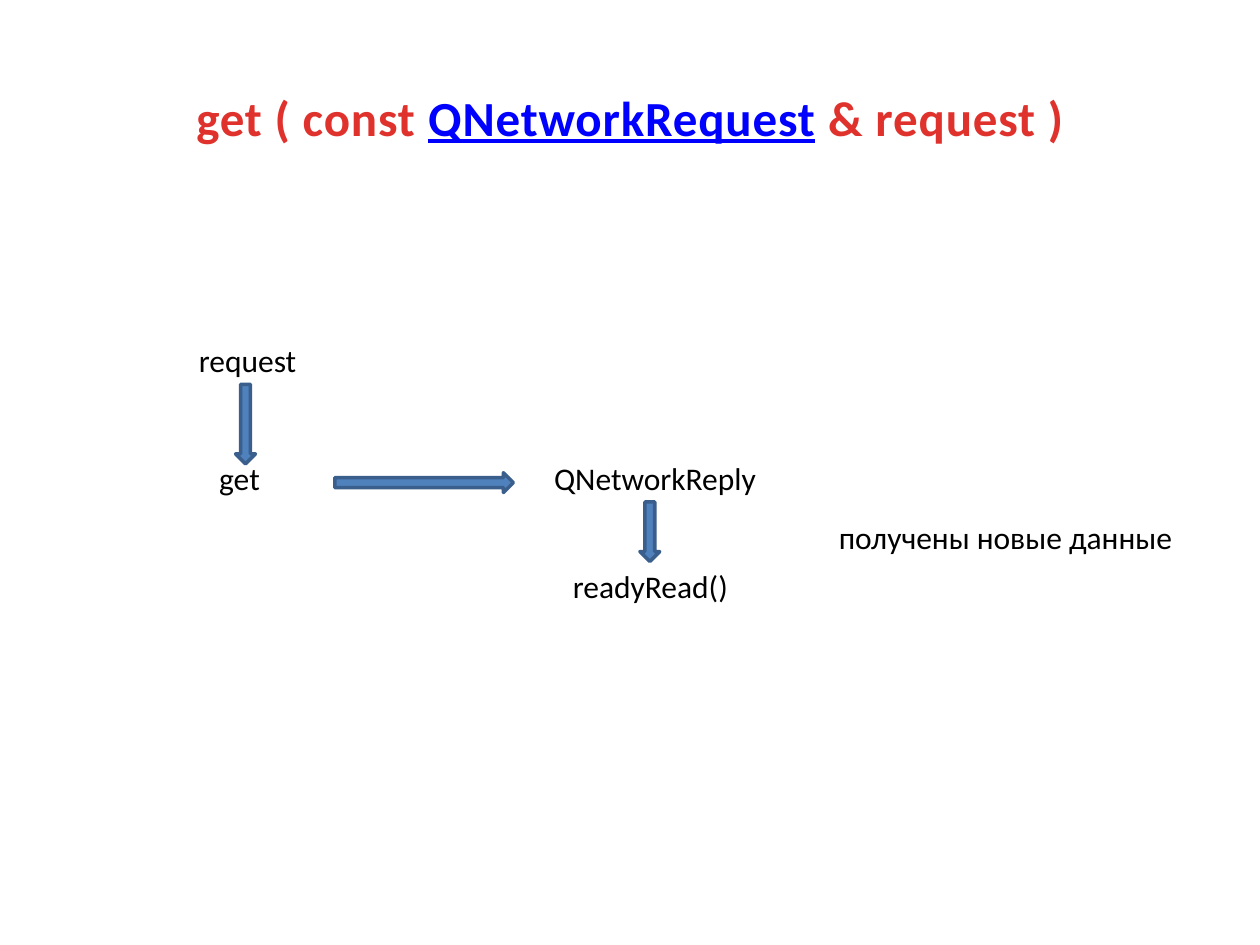
from pptx import Presentation
from pptx.dml.color import RGBColor
from pptx.enum.shapes import MSO_SHAPE
from pptx.enum.text import MSO_ANCHOR, MSO_AUTO_SIZE, PP_ALIGN
from pptx.util import Cm, Pt


def color(hex_string):
    return RGBColor.from_string(hex_string)


def add_text(p, text, size=18, fill="000000", font="Calibri", bold=False,
             underline=False, spacing=0):
    r = p.add_run()
    r.text = text
    r.font.name = font
    r.font.size = Pt(size)
    r.font.bold = bold
    r.font.underline = underline
    r.font.color.rgb = color(fill)
    if spacing:
        r._r.get_or_add_rPr().set("spc", str(int(spacing * 100)))
    return r


class SlideBuilder:
    """Holds the style and the current slide and adds elements to it."""

    red, link, fill, line = "E0322D", "0000FF", "4F81BD", "3A5F8C"

    def __init__(self, prs):
        self.s = prs.slides.add_slide(prs.slide_layouts[5])

    def title(self, parts, left, top, width, height):
        sp = self.s.shapes.title
        sp.left, sp.top, sp.width, sp.height = map(Cm, (left, top, width, height))
        tf = sp.text_frame
        tf.word_wrap = True
        tf.vertical_anchor = MSO_ANCHOR.MIDDLE
        p = tf.paragraphs[0]
        p.alignment = PP_ALIGN.CENTER
        for text, linked in parts:
            add_text(p, text, size=28, fill=self.link if linked else self.red,
                     bold=True, underline=linked, spacing=0.5)

    def label(self, text, left, top, width, height=1.03):
        sp = self.s.shapes.add_textbox(*map(Cm, (left, top, width, height)))
        tf = sp.text_frame
        tf.word_wrap = False
        tf.auto_size = MSO_AUTO_SIZE.SHAPE_TO_FIT_TEXT
        add_text(tf.paragraphs[0], text)

    def arrow(self, kind, left, top, width, height):
        sp = self.s.shapes.add_shape(kind, *map(Cm, (left, top, width, height)))
        sp.shadow.inherit = False
        sp.fill.solid()
        sp.fill.fore_color.rgb = color(self.fill)
        sp.line.color.rgb = color(self.line)
        sp.line.width = Pt(2)


def main():
    prs = Presentation()
    prs.slide_width, prs.slide_height = Cm(25.4), Cm(19.05)
    slide = SlideBuilder(prs)
    slide.title([("get ( const ", False), ("QNetworkRequest", True),
                 (" & request )", False)], 1.27, 0.76, 22.86, 3.18)

    for text, left, top, width in [
        ("get", 4.17, 9.12, 1.6),
        ("request", 3.76, 6.76, 2.64),
        ("QNetworkReply", 10.92, 9.12, 5),
        ("readyRead()", 11.3, 11.3, 4.06),
        ("получены новые данные", 16.66, 10.31, 7.32),
    ]:
        slide.label(text, left, top, width)

    thickness = 0.4
    slide.arrow(MSO_SHAPE.DOWN_ARROW, 4.75, 7.75, thickness, 1.6)
    slide.arrow(MSO_SHAPE.RIGHT_ARROW, 6.75, 9.53, 3.6, thickness)
    slide.arrow(MSO_SHAPE.DOWN_ARROW, 12.9, 10.12, thickness, 1.2)
    prs.save("out.pptx")


if __name__ == "__main__":
    main()
